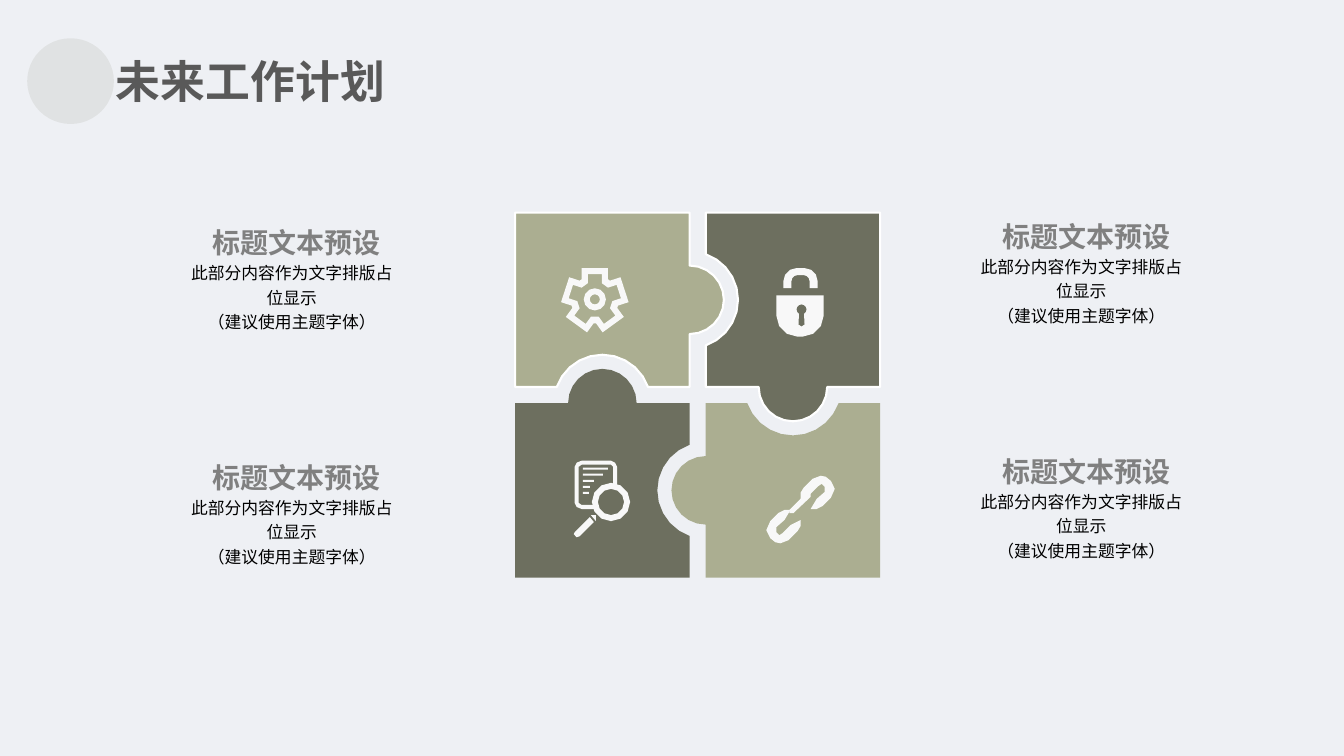
"""Build the future work plan slide: a four-piece puzzle with a caption beside each piece."""
from dataclasses import dataclass
from math import asin, ceil, cos, degrees, radians, sin

from lxml.etree import SubElement
from pptx import Presentation
from pptx.dml.color import RGBColor
from pptx.enum.shapes import MSO_SHAPE
from pptx.enum.text import MSO_ANCHOR, MSO_AUTO_SIZE, PP_ALIGN
from pptx.oxml.ns import qn
from pptx.util import Pt

TITLE = "未来工作计划"
HEADING = "标题文本预设"
BODY = "此部分内容作为文字排版占位显示\n（建议使用主题字体）"
CAPTION_CORNERS = [(186, 211), (186, 444), (969, 205), (969, 438)]

PX = 9144
SLIDE_SIZE = (1333, 750)
PUZZLE_CENTER = (692, 392)
SIDE, HALF_GAP = 173, 8
KNOB, SOCKET = 34, 48


@dataclass(frozen=True)
class Theme:
    font: str = "Noto Sans CJK SC"
    background: str = "EEF0F4"
    title: str = "595959"
    heading: str = "808080"
    body: str = "000000"
    circle: str = "6B6E51"
    dark: str = "50523D"
    light: str = "ABAE91"
    icon: str = "F8F8F8"
    edge: str = "FFFFFF"
    title_size: int = 32
    heading_size: int = 20
    body_size: int = 12


THEME = Theme()


def arc(center_x, center_y, radius, start, end):
    step = 15 if radius > 30 else 30
    count = ceil(abs(end - start) / step)
    angles = [radians(start + (end - start) * i / count) for i in range(count + 1)]
    return [(center_x + radius * cos(a), center_y + radius * sin(a)) for a in angles]


def circle(center_x, center_y, radius):
    return arc(center_x, center_y, radius, 0, 360)[:-1]


def rotate(points, angle, center=(0, 0)):
    c, s = cos(radians(angle)), sin(radians(angle))
    return [(center[0] + x * c - y * s, center[1] + x * s + y * c) for x, y in points]


def piece_outline(angle):
    near, far = -HALF_GAP, -HALF_GAP - SIDE
    middle = (near + far) / 2
    tilt = degrees(asin(2 * HALF_GAP / SOCKET))
    points = [(far, far), (near, far), *arc(near, middle, KNOB, -90, 90), (near, near),
              *arc(middle, HALF_GAP, SOCKET, -tilt, tilt - 180), (far, near)]
    return rotate(points, angle, PUZZLE_CENTER)


def gear_icon():
    center = (590, 297)
    outer = [(-13, -20), (-13, -31), (13, -31), (13, -20)]
    inner = [(-7, -16), (-7, -25), (7, -25), (7, -16)]
    rims = [[p for k in range(5) for p in rotate(tooth, 72 * k, center)] for tooth in (outer, inner)]
    return [[*rims, circle(*center, 11), circle(*center, 5)]]


def lock_icon():
    shackle = [(785, 286), *arc(791, 279, 6, 180, 270), *arc(797, 279, 6, 270, 360), (803, 286),
               (811, 286), *arc(798, 279, 13, 360, 270), *arc(790, 279, 13, 270, 180), (777, 286)]
    body = [(770, 293), *arc(791, 313, 21, 180, 90), *arc(796, 313, 21, 90, 0), (817, 293)]
    keyhole = arc(795, 307, 5, 120, 420) + [(798, 322), (795, 324), (792, 322)]
    return [[shackle], [body, keyhole]]


def chain_icon():
    rod = [(804, 489), (804, 493), (787, 509), (783, 509), (783, 506), (800, 489)]
    link = [(776, 529), (773, 531), (770, 528), (770, 523), (778, 516), (784, 506), (778, 506),
            (772, 509), (764, 517), (760, 526), (764, 534), (769, 538), (774, 539), (782, 536),
            (791, 527), (794, 522), (794, 516), (784, 521)]
    opposite = [(1588 - x, 1011 - y) for x, y in link]
    return [[rod], [link, opposite]]


def search_icon():
    bars = []
    for row, right in enumerate([603, 603, 598, 589, 585, 584]):
        top = 458 + 6 * row
        bars.append([(578, top), (right, top), (right, top + 2), (578, top + 2)])
    lens = [circle(606, 498, 19), circle(606, 498, 13)]
    grip = [(570, 528), (569, 530), (572, 533), (575, 532), (589, 518), (585, 513)]
    cap = [(591, 511), (586, 511), (591, 517)]
    page = [(590, 501), (577, 501), (574, 499), (574, 463), (577, 461), (606, 461), (608, 463),
            (608, 482), (612, 482), (612, 463), (610, 459), (606, 457), (577, 457), (572, 459),
            (570, 463), (570, 499), (572, 503), (577, 505), (592, 505)]
    return [bars, lens, [cap, grip], [page]]


PIECES = [
    (90, THEME.dark, 81, True, lock_icon),
    (180, THEME.light, 100, False, chain_icon),
    (270, THEME.dark, 81, False, search_icon),
    (0, THEME.light, 100, True, gear_icon),
]


def paint(shape, color, opacity=100, edged=False):
    shape.shadow.inherit = False
    shape.fill.solid()
    shape.fill.fore_color.rgb = RGBColor.from_string(color)
    if opacity < 100:
        color_element = shape._element.spPr.find(".//" + qn("a:srgbClr"))
        SubElement(color_element, qn("a:alpha"), val=str(opacity * 1000))
    if edged:
        shape.line.color.rgb = RGBColor.from_string(THEME.edge)
        shape.line.width = Pt(1.5)
    else:
        shape.line.fill.background()


def add_outline(shapes, contours, *style):
    scaled = [[(x * PX, y * PX) for x, y in contour] for contour in contours]
    builder = shapes.build_freeform(*scaled[0][0], scale=1.0)
    for index, contour in enumerate(scaled):
        if index:
            builder.move_to(*contour[0])
        builder.add_line_segments(contour[1:], close=True)
    paint(builder.convert_to_shape(), *style)


def write(shape, text, size, color, bold=False, align=PP_ALIGN.CENTER, anchor=MSO_ANCHOR.TOP,
          spacing=1.0, inset=0):
    frame = shape.text_frame
    frame.word_wrap = True
    frame.auto_size = MSO_AUTO_SIZE.NONE
    frame.vertical_anchor = anchor
    frame.margin_left = frame.margin_right = inset * PX
    frame.margin_top = frame.margin_bottom = inset * PX // 2
    paragraph = frame.paragraphs[0]
    paragraph.text = text
    paragraph.alignment = align
    paragraph.line_spacing = spacing
    for run in paragraph.runs:
        run.font.size, run.font.bold, run.font.name = Pt(size), bold, THEME.font
        run.font.color.rgb = RGBColor.from_string(color)
        SubElement(run._r.get_or_add_rPr(), qn("a:ea"), typeface=THEME.font)


def box(left, top, width, height):
    return [value * PX for value in (left, top, width, height)]


def add_caption(slide, left, top):
    shapes = slide.shapes.add_group_shape().shapes
    write(shapes.add_textbox(*box(left, top, 217, 46)), HEADING, THEME.heading_size,
          THEME.heading, bold=True, anchor=MSO_ANCHOR.BOTTOM)
    write(shapes.add_textbox(*box(left, top + 46, 207, 32)), BODY, THEME.body_size,
          THEME.body, spacing=1.2)


def main():
    presentation = Presentation()
    presentation.slide_width, presentation.slide_height = [side * PX for side in SLIDE_SIZE]
    slide = presentation.slides.add_slide(presentation.slide_layouts[5])
    slide.background.fill.solid()
    slide.background.fill.fore_color.rgb = RGBColor.from_string(THEME.background)

    title = slide.shapes.title
    title.left, title.top, title.width, title.height = box(105, 48, 360, 64)
    write(title, TITLE, THEME.title_size, THEME.title, bold=True, align=PP_ALIGN.LEFT,
          anchor=MSO_ANCHOR.MIDDLE, inset=10)
    paint(slide.shapes.add_shape(MSO_SHAPE.OVAL, *box(27, 38, 86, 85)), THEME.circle, 10)

    puzzle = slide.shapes.add_group_shape().shapes
    for angle, color, opacity, edged, icon in PIECES:
        add_outline(puzzle, [piece_outline(angle)], color, opacity, edged)
        for contours in icon():
            add_outline(puzzle, contours, THEME.icon)

    for left, top in CAPTION_CORNERS:
        add_caption(slide, left, top)
    presentation.save("out.pptx")


if __name__ == "__main__":
    main()
